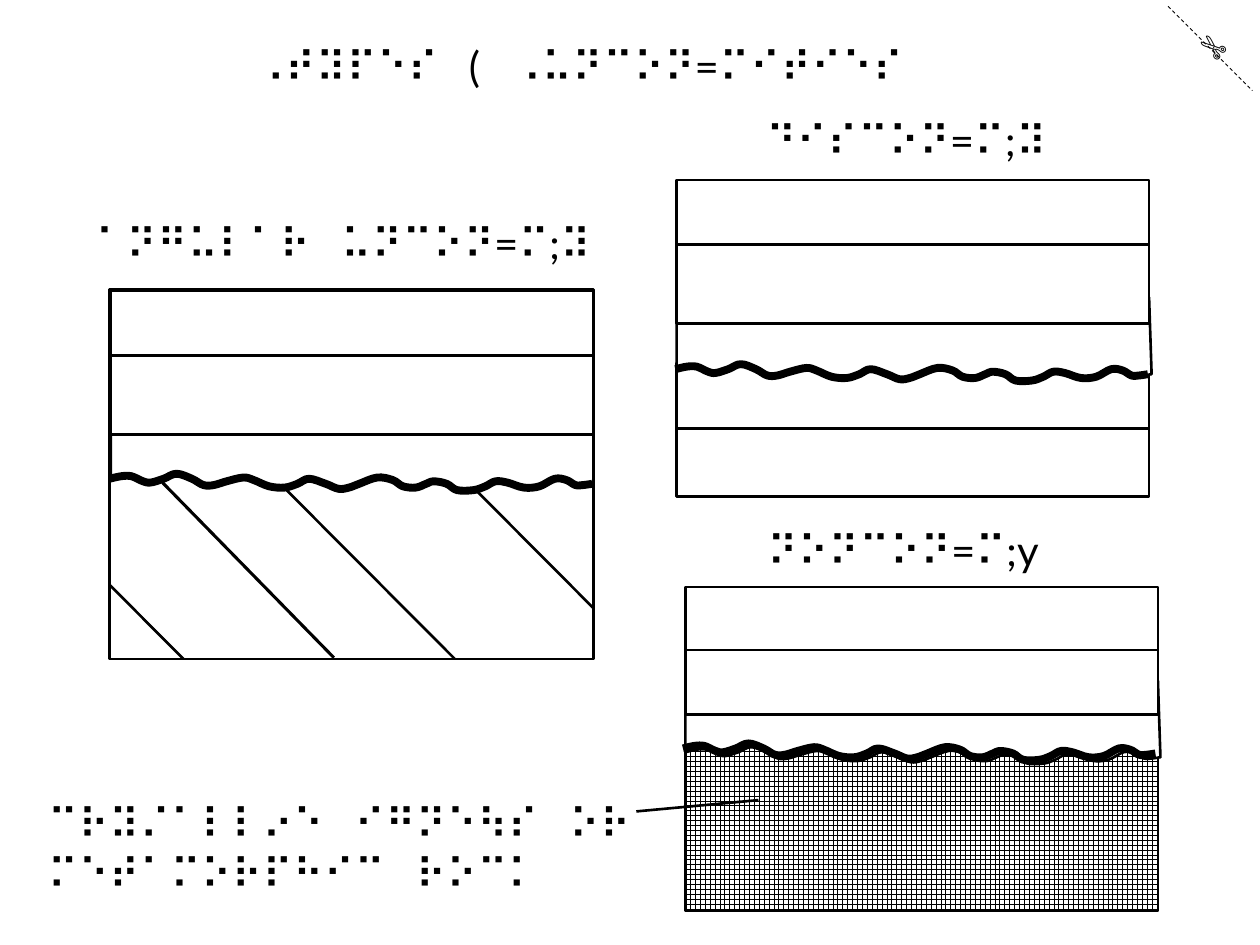
from lxml.etree import SubElement
from pptx import Presentation
from pptx.dml.color import RGBColor
from pptx.enum.dml import MSO_LINE, MSO_PATTERN
from pptx.enum.shapes import MSO_CONNECTOR, MSO_SHAPE
from pptx.enum.text import MSO_ANCHOR, MSO_AUTO_SIZE, PP_ALIGN
from pptx.oxml.ns import qn
from pptx.util import Inches, Pt

THEME = {
    "ink": RGBColor(0, 0, 0),
    "paper": RGBColor(255, 255, 255),
    "label": {"name": "Lato", "size": Pt(24)},
    "scissors": {"name": "Calibri", "size": Pt(18)},
    "thin": Pt(0.5),
    "edge": Pt(1.5),
    "bed": Pt(1.75),
    "erosion": Pt(4.5),
}

WIDTH, HEIGHT = Inches(10), Inches(7.5)
COLUMNS, ROWS = 1000, 750
COLUMN, ROW = WIDTH / COLUMNS, HEIGHT / ROWS

TITLE = "⠠⠞⠽⠏⠑⠎⠀(⠀⠠⠥⠝⠉⠕⠝=⠍⠊⠞⠊⠑⠎"
BASEMENT = "⠉⠗⠽⠌⠁⠇⠇⠔⠑⠀⠊⠛⠝⠑⠳⠎⠀⠕⠗⠍⠑⠞⠁⠍⠕⠗⠏⠓⠊⠉⠀⠗⠕⠉⠅"

WAVE_SPAN = 375
WAVE = [
    (0, 4), (9, 2), (17, 2), (26, 6), (32, 7), (42, 4), (52, 0), (64, 4),
    (73, 9), (81, 9), (91, 6), (104, 3), (112, 5), (124, 10), (136, 11),
    (146, 8), (155, 4), (168, 8), (178, 12), (186, 11), (194, 8), (208, 3),
    (220, 5), (228, 10), (238, 11), (246, 8), (252, 6), (262, 8), (270, 13),
    (283, 13), (292, 10), (300, 6), (309, 7), (322, 11), (334, 10),
    (346, 4), (355, 5), (362, 9), (368, 9), (375, 8),
]
WAVE_DROP = 53

PANELS = [
    {
        "label": ("⠁⠝⠛⠥⠇⠁⠗⠀⠥⠝⠉⠕⠝=⠍;⠽", (66, 168, 434, 50)),
        "below": [
            ("layer", (192, 384, 318, 111), 45.1),
            ("layer", (35, 435, 413, 153), 45.1),
            ("layer", (384, 303, 182, 152), 45.1),
            ("layer", (46, 494, 118, 56), 45.1),
            ("layer", (88, 231, 383, 54), 0),
        ],
        "block": (88, 323, 383),
        "above": ("layer", (88, 282, 383, 63), 0),
        "erosion": (87, 376, 383),
        "trim": [
            ("mask", (471, 212, 140, 510), 0),
            ("mask", (31, 24, 55, 698), 0),
            ("mask", (217, 350, 176, 524), 90),
            ("frame", (87, 230, 384, 293), 0),
        ],
    },
    {
        "label": ("⠙⠊⠎⠉⠕⠝=⠍;⠽", (598, 86, 264, 50)),
        "below": [("layer", (537, row, 375, 54), 0) for row in (143, 288, 340)],
        "block": (537, 236, 375),
        "above": ("layer", (537, 194, 375, 63), 0),
        "erosion": (536, 289, 375),
        "trim": [],
    },
    {
        "label": ("⠝⠕⠝⠉⠕⠝=⠍;y", (599, 411, 264, 50)),
        "below": [
            ("layer", (544, 466, 375, 54), 0),
            ("crystalline", (544, 581, 375, 142), 0),
        ],
        "block": (544, 540, 375),
        "above": ("layer", (544, 516, 375, 51), 0),
        "erosion": (542, 590, 375),
        "trim": [],
    },
]


def assign(target, values):
    for name, value in values.items():
        setattr(target, name, value)


def place(col, row):
    return round(col * COLUMN), round(row * ROW)


def box_at(box):
    return place(*box[:2]) + place(*box[2:])


def paint(shape, style, weight="edge"):
    shape.shadow.inherit = False
    if style in ("frame", "curve"):
        shape.fill.background()
    elif style == "crystalline":
        shape.fill.patterned()
        shape.fill.pattern = MSO_PATTERN.LARGE_GRID
        shape.fill.fore_color.rgb = THEME["ink"]
        shape.fill.back_color.rgb = THEME["paper"]
    else:
        shape.fill.solid()
        shape.fill.fore_color.rgb = THEME["paper"]
    if style == "mask":
        shape.line.fill.background()
    else:
        shape.line.color.rgb = THEME["ink"]
        shape.line.width = THEME[weight]


def add_rect(shapes, style, box, turn=0):
    rect = shapes.add_shape(MSO_SHAPE.RECTANGLE, *box_at(box))
    rect.rotation = turn
    paint(rect, style)
    return rect


def write(shape, words, face="label", wrap=True):
    frame = shape.text_frame
    assign(frame, {"word_wrap": wrap, "auto_size": MSO_AUTO_SIZE.SHAPE_TO_FIT_TEXT,
                   "vertical_anchor": MSO_ANCHOR.TOP})
    paragraph = frame.paragraphs[0]
    paragraph.alignment = PP_ALIGN.LEFT
    run = paragraph.add_run()
    run.text = words
    assign(run.font, THEME[face])
    run.font.color.rgb = THEME["ink"]


def add_label(shapes, words, box, face="label", wrap=True, turn=0):
    label = shapes.add_textbox(*box_at(box))
    label.rotation = turn
    write(label, words, face, wrap)


def add_line(shapes, start, end, weight, dash=None):
    line = shapes.add_connector(MSO_CONNECTOR.STRAIGHT, *place(*start), *place(*end))
    line.line.color.rgb = THEME["ink"]
    assign(line.line, {"width": THEME[weight], "dash_style": dash})
    SubElement(line._element.spPr, qn("a:effectLst"))


def spline(a, b, c, d, t):
    return (2 * b + (c - a) * t + (2 * a - 5 * b + 4 * c - d) * t ** 2
            + (3 * b - a - 3 * c + d) * t ** 3) / 2


def wave_points(col, row, width, steps=4):
    knots = [WAVE[0], *WAVE, WAVE[-1]]
    curve = [
        tuple(spline(*axis, step / steps) for axis in zip(*knots[i:i + 4]))
        for i in range(len(WAVE) - 1) for step in range(steps)
    ] + [WAVE[-1]]
    return [(col + x * width / WAVE_SPAN, row + y) for x, y in curve]


def add_outline(shapes, points, style, weight, closed):
    start, *rest = [place(*point) for point in points]
    builder = shapes.build_freeform(*start)
    builder.add_line_segments(rest, close=closed)
    paint(builder.convert_to_shape(), style, weight)


def add_panel(slide, panel):
    shapes = slide.shapes.add_group_shape().shapes
    for part in panel["below"]:
        add_rect(shapes, *part)
    left, top, width = panel["block"]
    base = wave_points(left, top + WAVE_DROP, width + 2)
    add_outline(shapes, [(left, top), (left + width, top), *reversed(base)],
                "layer", "edge", True)
    add_rect(shapes, *panel["above"])
    add_outline(shapes, wave_points(*panel["erosion"]), "curve", "erosion", False)
    for part in panel["trim"]:
        add_rect(shapes, *part)
    add_label(shapes, *panel["label"], wrap=False)


def main():
    deck = Presentation()
    assign(deck, {"slide_width": WIDTH, "slide_height": HEIGHT})
    slide = deck.slides.add_slide(deck.slide_layouts[6])
    shapes = slide.shapes
    angular, *flat = PANELS
    add_panel(slide, angular)
    add_line(shapes, (927, 5), (994, 72), "thin", MSO_LINE.DASH)
    add_label(shapes, "✄", (941, 18, 42, 40), "scissors", turn=220.5)
    add_label(shapes, TITLE, (192, 27, 660, 50))
    for panel in flat:
        add_panel(slide, panel)
    write(add_rect(shapes, "mask", (28, 628, 486, 91)), BASEMENT)
    add_line(shapes, (602, 635), (505, 644), "edge")
    add_line(shapes, (129, 383), (265, 522), "bed")
    deck.save("out.pptx")


if __name__ == "__main__":
    main()
